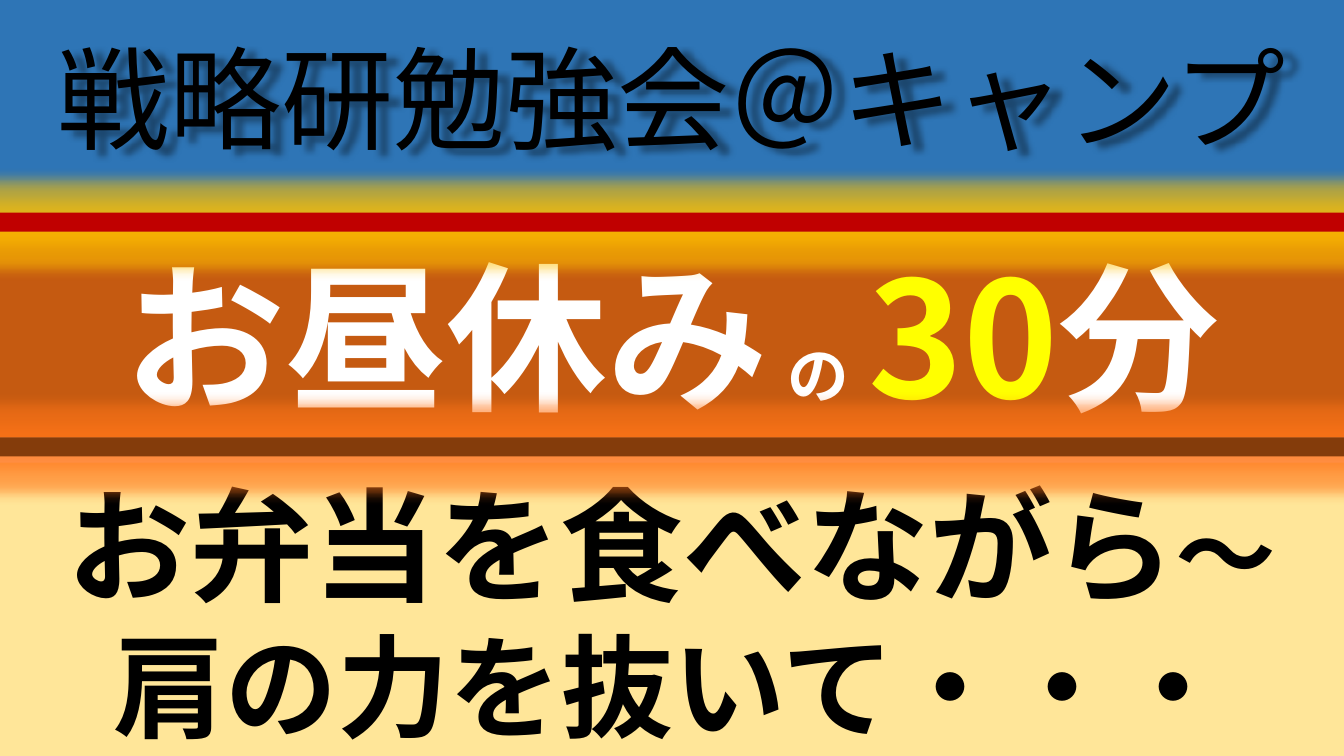
from dataclasses import dataclass

from lxml.etree import SubElement
from pptx import Presentation
from pptx.dml.color import RGBColor
from pptx.enum.lang import MSO_LANGUAGE_ID
from pptx.enum.shapes import MSO_SHAPE
from pptx.enum.text import MSO_ANCHOR, MSO_AUTO_SIZE, PP_ALIGN
from pptx.oxml.ns import qn
from pptx.util import Cm, Pt


@dataclass(frozen=True)
class Theme:
    font: str = "Noto Sans CJK JP"
    blue: str = "2E75B6"
    rust: str = "C55A11"
    cream: str = "FFE699"
    red: str = "C00000"
    brown: str = "843C0B"
    gold: str = "FFC000"
    orange: str = "FF7518"
    white: str = "FFFFFF"
    black: str = "000000"
    yellow: str = "FFFF00"
    huge: int = 115
    large: int = 88
    title: int = 80
    wave: int = 72
    gap: int = 60
    small: int = 44


THEME = Theme()
WIDTH = Cm(33.87)


# Effects
def add_tint(effect, color, alpha):
    tint = SubElement(effect, qn("a:srgbClr"), val=color)
    SubElement(tint, qn("a:alpha"), val=str(alpha * 1000))


def add_glow(shape, color):
    effects = shape._element.spPr.find(qn("a:effectLst"))
    glow = SubElement(effects, qn("a:glow"), rad=str(Pt(18)))
    add_tint(glow, color, 60)


def add_shade(shape):
    effects = SubElement(shape._element.spPr, qn("a:effectLst"))
    shade = SubElement(effects, qn("a:outerShdw"), blurRad=str(Pt(4)),
                       dist=str(Cm(0.3)), dir="1200000", algn="tl",
                       rotWithShape="0")
    add_tint(shade, THEME.black, 40)


# Bands and text
def add_band(slide, top, height, color):
    band = slide.shapes.add_shape(MSO_SHAPE.RECTANGLE, 0, Cm(top), WIDTH, Cm(height))
    band.shadow.inherit = False
    band.fill.solid()
    band.fill.fore_color.rgb = RGBColor.from_string(color)
    band.line.fill.background()
    return band


def add_run(para, text, size, color, bold):
    run = para.add_run()
    run.text = text
    font = run.font
    font.size = Pt(size)
    font.bold = bold
    font.name = THEME.font
    font.language_id = MSO_LANGUAGE_ID.JAPANESE
    font.color.rgb = RGBColor.from_string(color)
    SubElement(run._r.get_or_add_rPr(), qn("a:ea"), typeface=THEME.font)


def fill_text(shape, lines, bold=True, anchor=MSO_ANCHOR.MIDDLE):
    frame = shape.text_frame
    frame.word_wrap = True
    frame.auto_size = MSO_AUTO_SIZE.SHAPE_TO_FIT_TEXT
    frame.vertical_anchor = anchor
    for index, runs in enumerate(lines):
        para = frame.add_paragraph() if index else frame.paragraphs[0]
        para.alignment = PP_ALIGN.CENTER
        for text, size, color in runs:
            add_run(para, text, size, color, bold)


def main():
    t = THEME
    deck = Presentation()
    deck.slide_width, deck.slide_height = WIDTH, Cm(19.05)
    slide = deck.slides.add_slide(deck.slide_layouts[6])

    # Broad bands
    add_band(slide, -0.03, 10.52, t.blue)
    lunch = add_band(slide, 5.84, 5.18, t.rust)
    fill_text(lunch, [[
        ("お昼休み", t.huge, t.white),
        (" ", t.gap, t.white),
        ("の", t.small, t.white),
        (" ", t.gap, t.white),
        ("30", t.huge, t.yellow),
        ("分", t.huge, t.white),
    ]])
    relax = add_band(slide, 11.66, 7.44, t.cream)
    fill_text(relax, [
        [("お弁当を食べながら", t.large, t.black), ("～", t.wave, t.black)],
        [("肩の力を抜いて・・・", t.title, t.black)],
    ])

    # Glowing bars
    for top, color, glow in ((5.36, t.red, t.gold), (11.02, t.brown, t.orange)):
        add_glow(add_band(slide, top, 0.48, color), glow)

    # Title
    title = slide.shapes.add_textbox(0, Cm(0.61), WIDTH, Cm(3.68))
    fill_text(title, [[("戦略研勉強会＠キャンプ", t.title, t.black)]],
              bold=False, anchor=MSO_ANCHOR.TOP)
    add_shade(title)

    deck.save("out.pptx")


if __name__ == "__main__":
    main()
